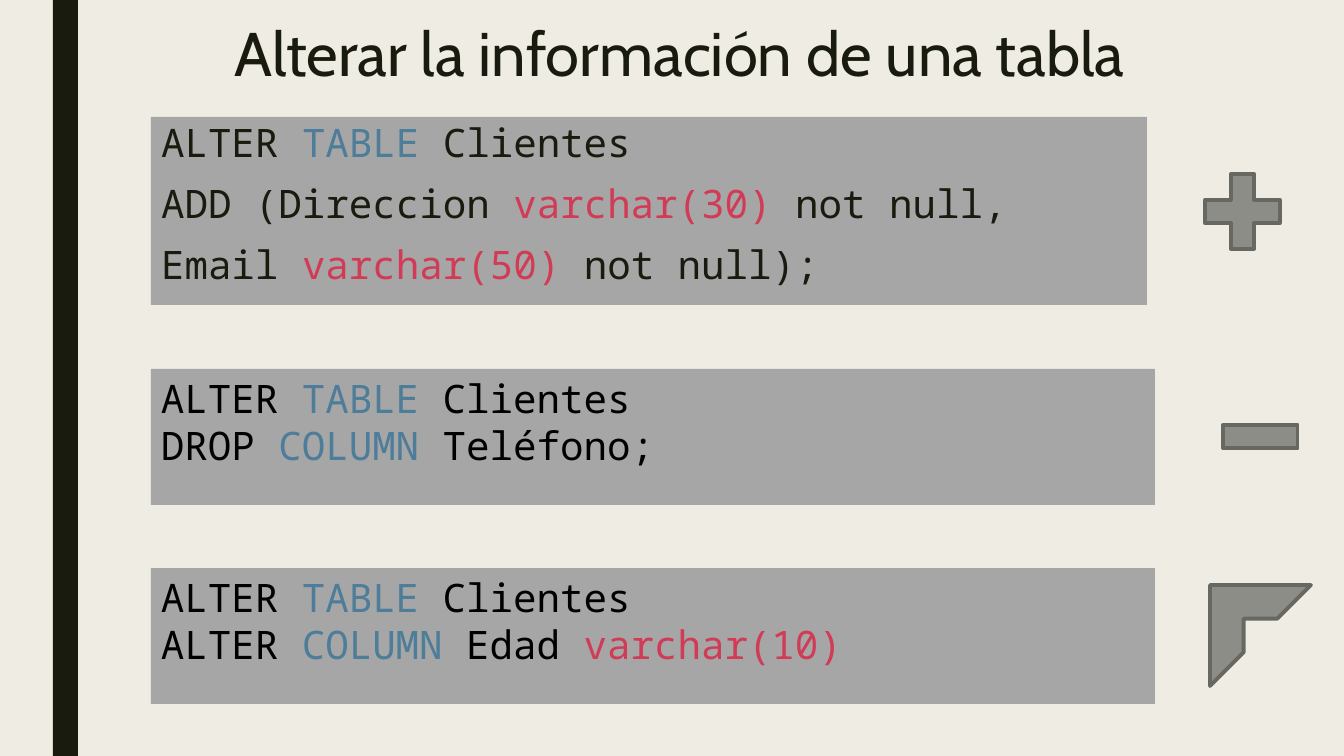
"""Build a slide on altering the information of an SQL table."""
import pptx
import pptx.dml.color
import pptx.enum.shapes
import pptx.enum.text
import pptx.oxml
import pptx.oxml.ns
import pptx.util

EMU_PER_PX = 914400 / 100.8
SHAPE = pptx.enum.shapes.MSO_SHAPE
ALIGN = pptx.enum.text.PP_ALIGN
INK, BLACK, KEYWORD, TYPE = "191B0E", "000000", "4D7D99", "D13B56"
PAPER, PANEL, ICON, OUTLINE = "EFEDE3", "A6A6A6", "8C8D86", "686863"


def px(length):
    return pptx.util.Emu(round(length * EMU_PER_PX))


def color(value):
    return pptx.dml.color.RGBColor.from_string(value)


def paint(target, value):
    target.fill.solid()
    target.fill.fore_color.rgb = color(value)


class SlideBuilder:
    title_font, title_size = "Cabin", 44
    code_font, code_size = "Noto Sans Mono", 28

    def __init__(self, deck):
        self.page = deck.slides.add_slide(deck.slide_layouts[1])
        paint(self.page.background, PAPER)

    def place(self, box, left, top, width, height):
        box.left, box.top = px(left), px(top)
        box.width, box.height = px(width), px(height)

    def prepare(self, box):
        frame = box.text_frame
        frame.word_wrap = True
        frame.auto_size = pptx.enum.text.MSO_AUTO_SIZE.NONE
        frame.vertical_anchor = pptx.enum.text.MSO_ANCHOR.TOP
        return frame

    def add_span(self, para, text, font, size, value):
        span = para.add_run()
        span.text = text
        span.font.name = font
        span.font.size = pptx.util.Pt(size)
        span.font.color.rgb = color(value)

    def write_code(self, box, lines, ink):
        frame = self.prepare(box)
        for index, line in enumerate(lines):
            para = frame.add_paragraph() if index else frame.paragraphs[0]
            for text, value in line:
                self.add_span(para, text, self.code_font, self.code_size, value or ink)
        return frame.paragraphs

    def title(self, text, *bounds):
        box = self.page.shapes.title
        self.place(box, *bounds)
        para = self.prepare(box).paragraphs[0]
        para.alignment = ALIGN.CENTER
        para.line_spacing = 0.89
        self.add_span(para, text, self.title_font, self.title_size, INK)

    def body_code(self, lines, *bounds):
        box = self.page.placeholders[1]
        self.place(box, *bounds)
        paint(box, PANEL)
        for index, para in enumerate(self.write_code(box, lines, INK)):
            properties = para._p.get_or_add_pPr()
            properties.set("marL", "0")
            properties.set("indent", "0")
            bullet = pptx.oxml.parse_xml(
                f"<a:buNone {pptx.oxml.ns.nsdecls('a')}/>")
            properties.append(bullet)
            para.line_spacing = 0.94
            para.space_before = pptx.util.Pt(10 if index else 0)
            para.space_after = pptx.util.Pt(2)

    def code_box(self, lines, *bounds):
        box = self.page.shapes.add_textbox(*map(px, bounds))
        paint(box, PANEL)
        self.write_code(box, lines, BLACK)

    def shape(self, kind, fill, *bounds, line=None):
        box = self.page.shapes.add_shape(kind, *map(px, bounds))
        box.shadow.inherit = False
        paint(box, fill)
        if line:
            box.line.color.rgb = color(line)
            box.line.width = pptx.util.Pt(2.75)
        else:
            box.line.fill.background()


def main():
    deck = pptx.Presentation()
    deck.slide_width, deck.slide_height = px(1344), px(756)
    builder = SlideBuilder(deck)
    alter_table = [("ALTER ", None), ("TABLE", KEYWORD), (" Clientes", None)]

    builder.shape(SHAPE.RECTANGLE, INK, 53, 0, 25, 756)
    builder.title("Alterar la información de una tabla", 151, 19, 1058, 98)
    builder.body_code([
        alter_table,
        [("ADD (Direccion ", None), ("varchar(30) ", TYPE), ("not null,", None)],
        [("Email ", None), ("varchar(50) ", TYPE), ("not null);", None)],
    ], 151, 117, 996, 188)

    drop_column = [("DROP ", None), ("COLUMN", KEYWORD), (" Teléfono;", None)]
    alter_column = [("ALTER ", None), ("COLUMN", KEYWORD), (" Edad ", None),
                    ("varchar(10)", TYPE)]
    for top, statement in ((369, drop_column), (568, alter_column)):
        builder.code_box([alter_table, statement], 151, top, 1004, 136)

    for kind, left, top in ((SHAPE.MATH_PLUS, 1192, 161),
                            (SHAPE.MATH_MINUS, 1210, 386),
                            (SHAPE.HALF_FRAME, 1210, 585)):
        builder.shape(kind, ICON, left, top, 101, 101, line=OUTLINE)

    deck.save("out.pptx")


if __name__ == "__main__":
    main()
